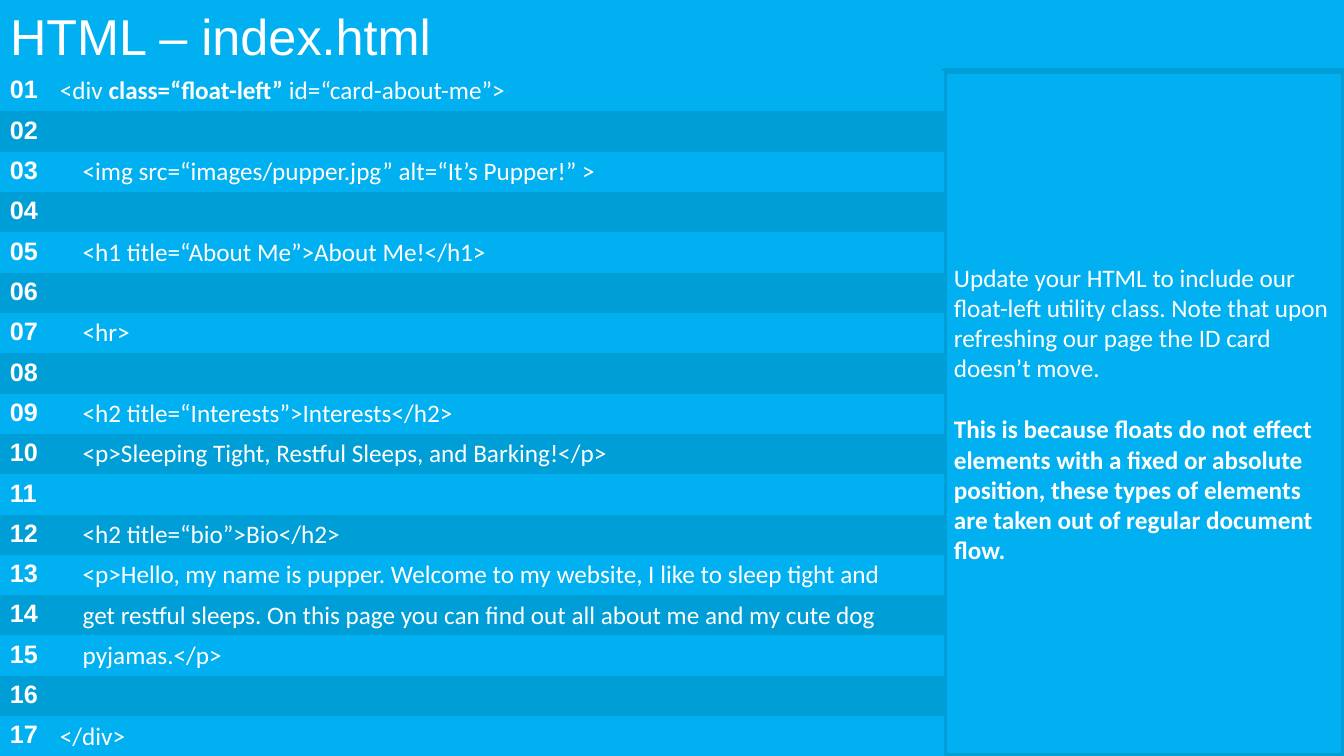
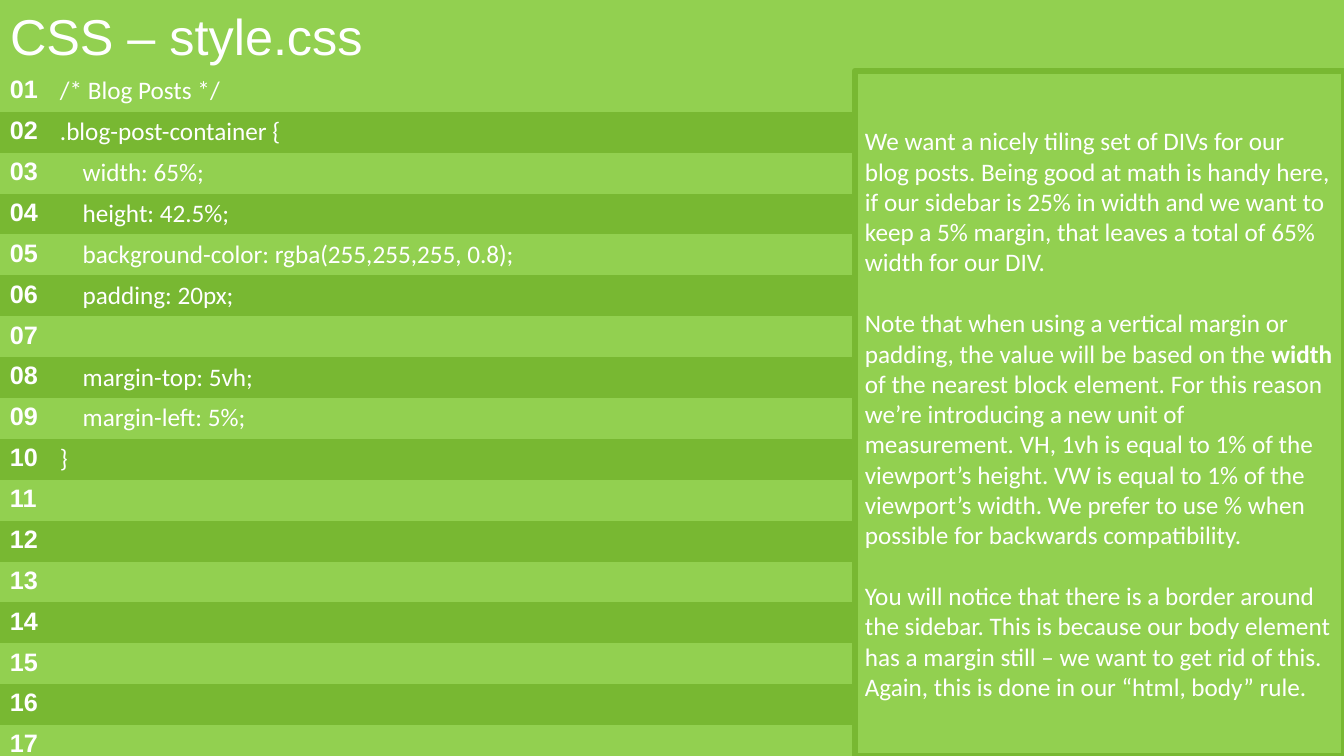
from dataclasses import dataclass

import pptx
import pptx.dml.color
import pptx.enum.dml
import pptx.enum.shapes
import pptx.enum.text
import pptx.oxml.ns
import pptx.presentation
import pptx.slide
import pptx.util

# Shared geometry (px) and style
EMU_PER_PX = 12192000 / 1344
SLIDE_W, SLIDE_H = 1344, 756
TITLE_H = 71
NUMBER_W, CODE_W = 50, 894
ROWS = 17
INSET_X, INSET_TOP, INSET_BOTTOM = 10, 5, 2
HEADING_FONT, BODY_FONT = "Arial", "Calibri"
WHITE = "FFFFFF"
BOLD_MARK = "**"
PLAIN_TABLE_STYLE = "{2D5ABB26-0587-4C30-8999-92F81FD0307C}"


@dataclass(frozen=True)
class Palette:
    base: str
    dark: str


@dataclass(frozen=True)
class CodeSlide:
    title: str
    palette: Palette
    code: list[str]
    notes: list[str]
    panel_left: int
    table_height: int
    panel_in_front: bool


# Content; text between bold marks is set in bold
SLIDES = [
    CodeSlide(
        title="HTML – index.html",
        palette=Palette("00B0F0", "009ED6"),
        code=[
            "<div **class=“float-left” **id=“card-about-me”>",
            "",
            "    <img src=“images/pupper.jpg” alt=“It’s Pupper!” >",
            "",
            "    <h1 title=“About Me”>About Me!</h1>",
            "",
            "    <hr>",
            "",
            "    <h2 title=“Interests”>Interests</h2>",
            "    <p>Sleeping Tight, Restful Sleeps, and Barking!</p>",
            "",
            "    <h2 title=“bio”>Bio</h2>",
            "    <p>Hello, my name is pupper. Welcome to my website, I like to sleep tight and",
            "    get restful sleeps. On this page you can find out all about me and my cute dog",
            "    pyjamas.</p>",
            "",
            "</div>",
        ],
        notes=[
            "Update your HTML to include our float-left utility class. Note that upon "
            "refreshing our page the ID card doesn’t move.",
            "**This is because floats do not effect elements with a fixed or absolute "
            "position, these types of elements are taken out of regular document flow.**",
        ],
        panel_left=944,
        table_height=686,
        panel_in_front=False,
    ),
    CodeSlide(
        title="CSS – style.css",
        palette=Palette("92D050", "78B832"),
        code=[
            "/* Blog Posts */",
            ".blog-post-container {",
            "    width: 65%;",
            "    height: 42.5%;",
            "    background-color: rgba(255,255,255, 0.8);",
            "    padding: 20px;",
            "",
            "    margin-top: 5vh;",
            "    margin-left: 5%;",
            "}",
        ],
        notes=[
            "We want a nicely tiling set of DIVs for our blog posts. Being good at math is "
            "handy here, if our sidebar is 25% in width and we want to keep a 5% margin, "
            "that leaves a total of 65% width for our DIV.",
            "Note that when using a vertical margin or padding, the value will be based on "
            "the **width** of the nearest block element. For this reason we’re introducing "
            "a new unit of measurement. VH, 1vh is equal to 1% of the viewport’s height. "
            "VW is equal to 1% of the viewport’s width. We prefer to use % when possible "
            "for backwards compatibility.",
            "You will notice that there is a border around the sidebar. This is because our "
            "body element has a margin still – we want to get rid of this. Again, this is "
            "done in our “html, body” rule.",
        ],
        panel_left=855,
        table_height=695,
        panel_in_front=True,
    ),
]


# Helpers
def px(length: int) -> pptx.util.Emu:
    return pptx.util.Emu(round(length * EMU_PER_PX))


def color(value: str) -> pptx.dml.color.RGBColor:
    return pptx.dml.color.RGBColor.from_string(value)


def paint(target, value: str) -> None:
    target.fill.solid()
    target.fill.fore_color.rgb = color(value)


def set_insets(target) -> None:
    target.margin_left = target.margin_right = px(INSET_X)
    target.margin_top = px(INSET_TOP)
    target.margin_bottom = px(INSET_BOTTOM)


def write(para, text: str, font: str, size: int = 18, bold: bool = False) -> None:
    """Add text run by run, switching weight at each bold mark."""
    para.alignment = pptx.enum.text.PP_ALIGN.LEFT
    for index, part in enumerate(text.split(BOLD_MARK)):
        if part:
            span = para.add_run()
            span.text = part
            span.font.name = font
            span.font.size = pptx.util.Pt(size)
            span.font.bold = bold or index % 2 == 1
            span.font.color.rgb = color(WHITE)


# Slide parts
def add_title(page: pptx.slide.Slide, content: CodeSlide) -> None:
    title = page.shapes.title
    title.left, title.top = px(0), px(0)
    title.width, title.height = px(SLIDE_W), px(TITLE_H)
    paint(title, content.palette.base)
    frame = title.text_frame
    frame.auto_size = pptx.enum.text.MSO_AUTO_SIZE.NONE
    frame.vertical_anchor = pptx.enum.text.MSO_ANCHOR.TOP
    set_insets(frame)
    write(frame.paragraphs[0], content.title, HEADING_FONT, size=36)


def add_code_table(page: pptx.slide.Slide, content: CodeSlide) -> None:
    frame = page.shapes.add_table(
        ROWS, 2, px(0), px(TITLE_H), px(NUMBER_W + CODE_W), px(content.table_height)
    )
    for style in frame.element.iter(pptx.oxml.ns.qn("a:tableStyleId")):
        style.text = PLAIN_TABLE_STYLE
    table = frame.table
    table.first_row = table.horz_banding = False
    table.columns[0].width, table.columns[1].width = px(NUMBER_W), px(CODE_W)

    lines = content.code + [""] * (ROWS - len(content.code))
    for index, (row, line) in enumerate(zip(table.rows, lines)):
        row.height = pptx.util.Emu(px(content.table_height) // ROWS)
        number_cell, code_cell = row.cells
        for cell in (number_cell, code_cell):
            paint(cell, content.palette.dark if index % 2 else content.palette.base)
            set_insets(cell)
        write(number_cell.text_frame.paragraphs[0], f"{index + 1:02}", HEADING_FONT, bold=True)
        write(code_cell.text_frame.paragraphs[0], line, BODY_FONT)


def add_notes_panel(page: pptx.slide.Slide, content: CodeSlide) -> None:
    box = page.shapes.add_shape(
        pptx.enum.shapes.MSO_SHAPE.RECTANGLE,
        px(content.panel_left),
        px(TITLE_H),
        px(SLIDE_W - content.panel_left),
        px(SLIDE_H - TITLE_H),
    )
    box.shadow.inherit = False
    paint(box, content.palette.base)
    box.line.color.rgb = color(content.palette.dark)
    box.line.width = pptx.util.Pt(4.5)
    frame = box.text_frame
    frame.word_wrap = True
    frame.vertical_anchor = pptx.enum.text.MSO_ANCHOR.MIDDLE
    for index, note in enumerate(content.notes):
        para = frame.add_paragraph() if index else frame.paragraphs[0]
        if index:
            para.space_before = pptx.util.Pt(22)
        write(para, note, BODY_FONT)


def add_code_slide(deck: pptx.presentation.Presentation, content: CodeSlide) -> None:
    page = deck.slides.add_slide(deck.slide_layouts.get_by_name("Title Only"))
    add_title(page, content)
    parts = [add_notes_panel, add_code_table]
    for add_part in reversed(parts) if content.panel_in_front else parts:
        add_part(page, content)


def main() -> None:
    deck = pptx.Presentation()
    deck.slide_width, deck.slide_height = px(SLIDE_W), px(SLIDE_H)

    # Dotted background shared by all slides
    backdrop = deck.slide_master.background.fill
    backdrop.patterned()
    backdrop.pattern = pptx.enum.dml.MSO_PATTERN.PERCENT_5
    backdrop.fore_color.rgb = color("5B9BD5")
    backdrop.back_color.rgb = color(WHITE)

    for content in SLIDES:
        add_code_slide(deck, content)
    deck.save("out.pptx")


if __name__ == "__main__":
    main()
